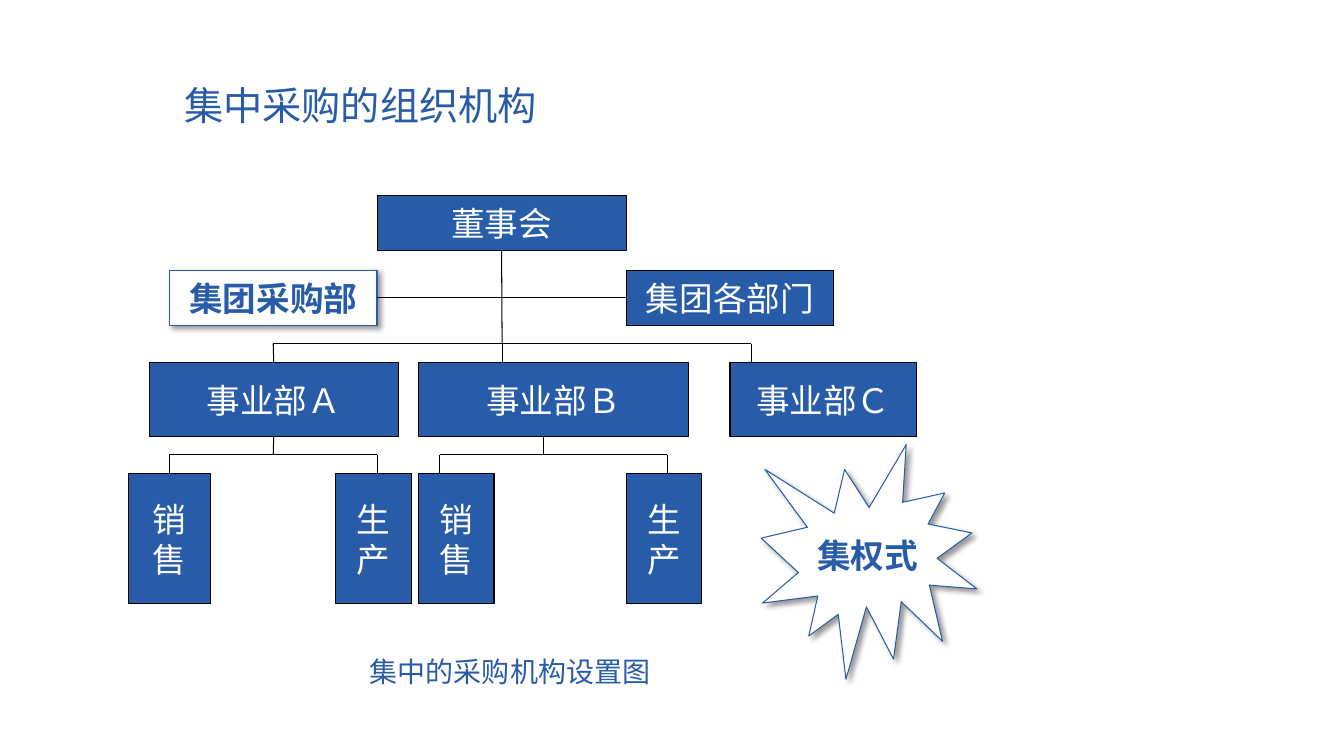
from dataclasses import dataclass

from lxml import etree
from pptx import Presentation
from pptx.dml.color import RGBColor
from pptx.enum import shapes as kinds, text as txt
from pptx.oxml import ns
from pptx.util import Inches, Pt


@dataclass(frozen=True)
class Theme:
    blue: str = "285CA9"
    white: str = "FFFFFF"
    black: str = "000000"
    title_font: str = "Noto Sans CJK SC"
    body_font: str = "Noto Sans CJK JP"
    title_size: int = 28
    label_size: int = 24
    caption_size: int = 20
    line_width: float = 0.75


THEME = Theme()
TOP, LEFT, BOTTOM, RIGHT = 0, 1, 2, 3
RECT = kinds.MSO_SHAPE.RECTANGLE
SEAL = kinds.MSO_SHAPE.EXPLOSION1


def rgb(value):
    return RGBColor.from_string(value)


def write(holder, wording, size, color, font, bold=False, align=txt.PP_ALIGN.CENTER):
    """Put one formatted line of wording into a shape or text box."""
    frame = holder.text_frame
    frame.text = wording
    frame.word_wrap = True
    frame.vertical_anchor = txt.MSO_ANCHOR.MIDDLE
    line = frame.paragraphs[0]
    line.alignment = align
    run = line.runs[0]
    run.font.size = Pt(size)
    run.font.bold = bold
    run.font.color.rgb = rgb(color)
    run.font.name = font
    east_asian = etree.SubElement(run.font._element, ns.qn("a:ea"))
    east_asian.set("typeface", font)
    return frame


def add_shadow(shape):
    effects = shape._element.spPr.find(ns.qn("a:effectLst"))
    shadow = etree.SubElement(effects, ns.qn("a:outerShdw"), blurRad=str(Pt(4)),
                              dist=str(Pt(3)), dir=str(45 * 60000), rotWithShape="0")
    color = etree.SubElement(shadow, ns.qn("a:srgbClr"), val=THEME.black)
    etree.SubElement(color, ns.qn("a:alpha"), val="40000")


def add_unit(group, wording, box, kind=RECT, highlight=False):
    """Draw one unit: blue, or white with a shadow when highlighted."""
    unit = group.add_shape(kind, *map(Inches, box))
    fill, edge, ink = ((THEME.white, THEME.blue, THEME.blue) if highlight
                       else (THEME.blue, THEME.black, THEME.white))
    unit.fill.solid()
    unit.fill.fore_color.rgb = rgb(fill)
    unit.line.color.rgb = rgb(edge)
    unit.line.width = Pt(THEME.line_width)
    unit.shadow.inherit = False
    if highlight:
        add_shadow(unit)
    write(unit, wording, THEME.label_size, ink, THEME.body_font, highlight)
    return unit


def add_line(group, x1, y1, x2, y2):
    link = group.add_connector(kinds.MSO_CONNECTOR.STRAIGHT,
                               *map(Inches, (x1, y1, x2, y2)))
    link.line.color.rgb = rgb(THEME.black)
    link.line.width = Pt(THEME.line_width)
    etree.SubElement(link._element.spPr, ns.qn("a:effectLst"))
    return link


def add_fork(group, stem_x, top, bus_y, drop_xs, bottom):
    """Draw a stem, a crossbar and its drops; return the stem and the drops."""
    stem = add_line(group, stem_x, top, stem_x, bus_y)
    add_line(group, drop_xs[0], bus_y, drop_xs[-1], bus_y)
    return stem, [add_line(group, x, bus_y, x, bottom) for x in drop_xs]


def add_title(slide, left, top, width, height):
    title = slide.shapes.add_textbox(*map(Inches, (left, top, width, height)))
    write(title, "集中采购的组织机构", THEME.title_size, THEME.blue,
          THEME.title_font, align=txt.PP_ALIGN.LEFT)


def add_organisation(slide, left, top):
    group = slide.shapes.add_group_shape().shapes
    staff_y, division_y, branch_y = top + 0.74, top + 1.66, top + 2.76
    staff_h, division_h, branch_h = 0.55, 0.73, 1.29

    # Board and group departments
    board = add_unit(group, "董事会", (left + 2.47, top, 2.47, staff_h))
    purchasing = add_unit(group, "集团采购部", (left + 0.41, staff_y, 2.06, staff_h),
                          highlight=True)
    departments = add_unit(group, "集团各部门", (left + 4.94, staff_y, 2.06, staff_h))

    # Divisions
    division_a, *_ = [
        add_unit(group, wording, (left + x, division_y, width, division_h))
        for wording, x, width in (("事业部Ａ", 0.21, 2.47), ("事业部Ｂ", 2.88, 2.68),
                                  ("事业部Ｃ", 5.97, 1.85))]

    # Sales and production under divisions A and B
    sales_a, *_ = [
        add_unit(group, wording, (left + x, branch_y, width, branch_h))
        for wording, x, width in (("销售", 0, 0.82), ("生产", 2.06, 0.75),
                                  ("销售", 2.88, 0.75), ("生产", 4.94, 0.75))]

    # Lines between the levels
    staff_link = add_line(group, left + 2.47, top + 1.01, left + 4.94, top + 1.01)
    staff_link.begin_connect(purchasing, RIGHT)
    staff_link.end_connect(departments, LEFT)
    trunk, division_drops = add_fork(
        group, left + 3.71, top + staff_h, top + 1.47,
        [left + x for x in (1.44, 3.71, 6.18)], division_y)
    trunk.begin_connect(board, BOTTOM)
    division_drops[0].end_connect(division_a, TOP)
    forks = [add_fork(group, left + stem, division_y + division_h, top + 2.57,
                      [left + x for x in drops], branch_y)
             for stem, drops in ((1.44, (0.41, 2.47)), (4.12, (3.09, 5.35)))]
    stem_a, drops_a = forks[0]
    stem_a.begin_connect(division_a, BOTTOM)
    drops_a[0].end_connect(sales_a, TOP)

    # Burst naming the centralised type
    burst = add_unit(group, "集权式", (left + 6.28, top + 2.47, 2.14, 2.33), SEAL, True)
    burst.text_frame.word_wrap = False

    # Caption
    caption = group.add_textbox(*map(Inches, (left + 0.41, top + 4.55, 6.76, 0.34)))
    frame = write(caption, "集中的采购机构设置图", THEME.caption_size, THEME.blue,
                  THEME.body_font)
    frame.vertical_anchor = txt.MSO_ANCHOR.TOP
    frame.margin_left = frame.margin_right = frame.margin_top = frame.margin_bottom = 0


def main():
    deck = Presentation()
    deck.slide_width, deck.slide_height = Inches(13.33), Inches(7.5)
    slide = deck.slides.add_slide(deck.slide_layouts[6])
    add_title(slide, 1.73, 0.72, 4.68, 0.64)
    add_organisation(slide, 1.27, 1.94)
    deck.save("out.pptx")


if __name__ == "__main__":
    main()
